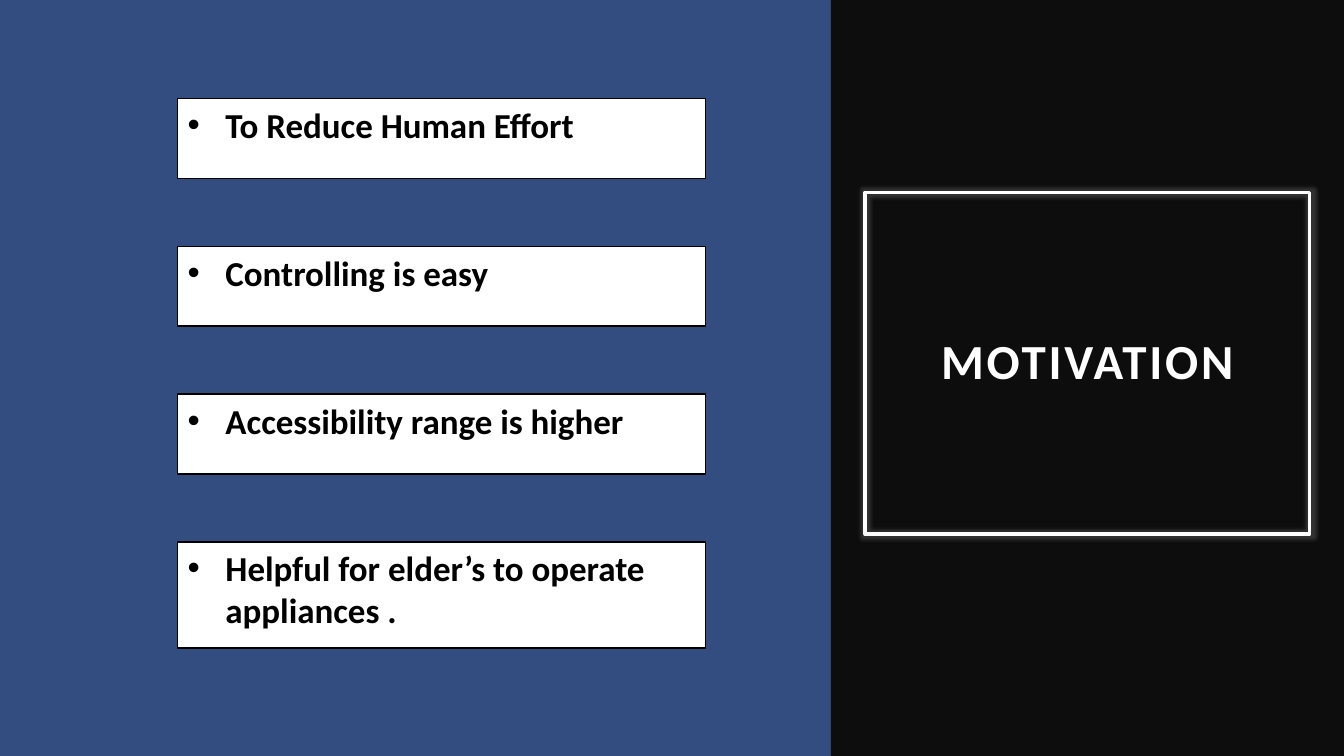
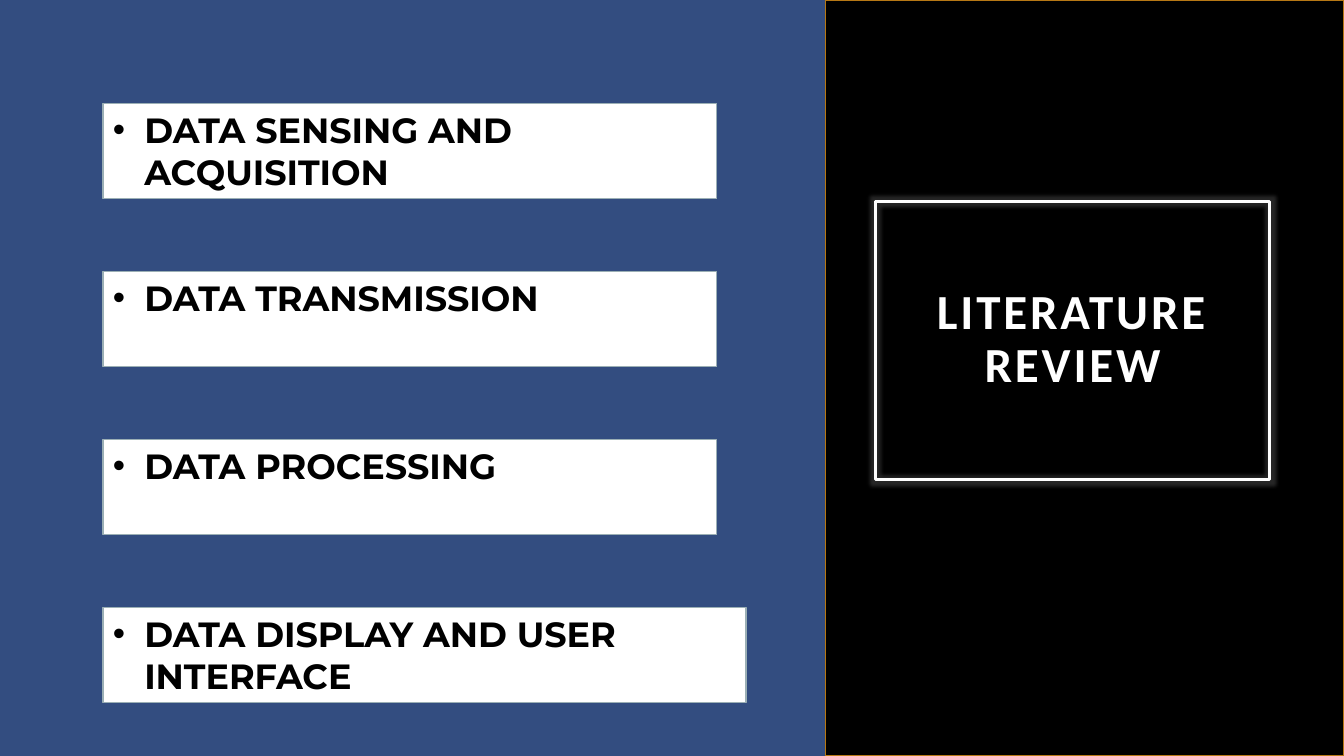
from pptx import Presentation
from pptx.dml.color import RGBColor
from pptx.enum.shapes import MSO_SHAPE as SHAPE
from pptx.enum.text import MSO_ANCHOR as ANCHOR, MSO_AUTO_SIZE as AUTO, PP_ALIGN as ALIGN
from pptx.oxml import parse_xml
from pptx.oxml.ns import nsdecls, qn
from pptx.util import Pt

WIDTH, HEIGHT = 960, 540
BLUE, WHITE, BLACK, CHARCOAL = "334D80", "FFFFFF", "000000", "0D0D0D"
AMBER, GREY = "B67815", "9BAFB5"
FONT, HEADING_FONT = "Calibri", "Montserrat"


def rgb(value):
    """Turn a hex string into a colour."""
    return RGBColor.from_string(value)


def paint(target, color):
    """Give a fill one solid colour."""
    target.solid()
    target.fore_color.rgb = rgb(color)


def outline(sp, color, width=1):
    """Draw a solid outline, or none without a colour."""
    if color:
        paint(sp.line.fill, color)
        sp.line.width = Pt(width)
    else:
        sp.line.fill.background()


def style(p, font, size, color):
    """Format the bold runs of a paragraph."""
    for r in p.runs:
        r.font.name, r.font.size, r.font.bold = font, Pt(size), True
        r.font.color.rgb = rgb(color)


def add_rect(s, left, top, width, height, fill, line=None):
    """Add a flat rectangle."""
    sp = s.shapes.add_shape(SHAPE.RECTANGLE, Pt(left), Pt(top), Pt(width), Pt(height))
    sp.shadow.inherit = False
    paint(sp.fill, fill)
    outline(sp, line)
    return sp


def add_glow(sp, color, radius, alpha):
    """Replace the shadow of a shape with a soft glow."""
    sp.shadow.inherit = False
    effects = sp.element.spPr.find(qn("a:effectLst"))
    effects.append(parse_xml(
        f'<a:glow {nsdecls("a")} rad="{Pt(radius)}"><a:srgbClr val="{color}">'
        f'<a:alpha val="{alpha * 1000}"/></a:srgbClr></a:glow>'))


def add_bullet(p, indent):
    """Put a round bullet and hanging indent on a paragraph."""
    pPr = p._p.get_or_add_pPr()
    pPr.set("marL", str(Pt(indent)))
    pPr.set("indent", str(-Pt(indent)))
    pPr.append(parse_xml(f'<a:buFont {nsdecls("a")} typeface="Arial"/>'))
    pPr.append(parse_xml(f'<a:buChar {nsdecls("a")} char="•"/>'))


def set_title(s, text, left, top, width, height):
    """Place the framed, glowing slide title."""
    sp = s.shapes.title
    sp.left, sp.top, sp.width, sp.height = Pt(left), Pt(top), Pt(width), Pt(height)
    outline(sp, WHITE, 2.5)
    add_glow(sp, WHITE, 5, 15)
    tf = sp.text_frame
    tf.text = text
    tf.word_wrap, tf.auto_size, tf.vertical_anchor = True, AUTO.NONE, ANCHOR.MIDDLE
    tf.margin_left = tf.margin_right = tf.margin_top = tf.margin_bottom = Pt(14.4)
    p = tf.paragraphs[0]
    p.alignment, p.line_spacing = ALIGN.CENTER, 0.9
    style(p, FONT, 35, WHITE)
    for r in p.runs:
        r.font._element.set("spc", "200")


def add_point(s, text, box, line, font, indent):
    """Add one bulleted statement in a white box."""
    tf = add_rect(s, *box, WHITE, line).text_frame
    tf.text = text
    tf.word_wrap, tf.vertical_anchor = True, ANCHOR.TOP
    p = tf.paragraphs[0]
    p.alignment = ALIGN.LEFT
    add_bullet(p, indent)
    style(p, font, 25, BLACK)


def add_points(s, points, left, top, pitch, line, font, indent):
    """Stack (text, width, height) boxes at an even pitch."""
    for i, (text, width, height) in enumerate(points):
        add_point(s, text, (left, top + i * pitch, width, height), line, font, indent)


def add_slide(prs, title, frame, panel_left, panel_fill, panel_line=None):
    """Add a blue slide with a dark title panel on the right."""
    s = prs.slides.add_slide(prs.slide_layouts[5])
    paint(s.background.fill, BLUE)
    panel = add_rect(s, panel_left, 0, WIDTH - panel_left, HEIGHT, panel_fill, panel_line)
    s.shapes.title.element.addprevious(panel.element)
    set_title(s, title, *frame)
    return s


def main():
    """Build and save the presentation."""
    prs = Presentation()
    prs.slide_width, prs.slide_height = Pt(WIDTH), Pt(HEIGHT)

    s = add_slide(prs, "MOTIVATION", (618, 137.5, 317.5, 244), 593.5, CHARCOAL)
    add_points(s, [
        ("To Reduce Human Effort", 377, 57),
        ("Controlling is easy", 377, 57),
        ("Accessibility range is higher", 377, 57),
        ("Helpful for elder’s to operate appliances .", 377, 76),
    ], 127, 70.5, 105.5, BLACK, FONT, 27)

    s = add_slide(prs, "LITERATURE REVIEW", (625.5, 144, 281.5, 198.5), 589.5, BLACK, AMBER)
    add_points(s, [
        ("DATA SENSING AND ACQUISITION", 438.5, 68),
        ("DATA TRANSMISSION", 438.5, 68),
        ("DATA PROCESSING", 438.5, 68),
        ("DATA DISPLAY AND USER INTERFACE", 459.5, 68),
    ], 73.5, 74, 120, GREY, HEADING_FONT, 22.5)

    prs.save("out.pptx")


if __name__ == "__main__":
    main()
